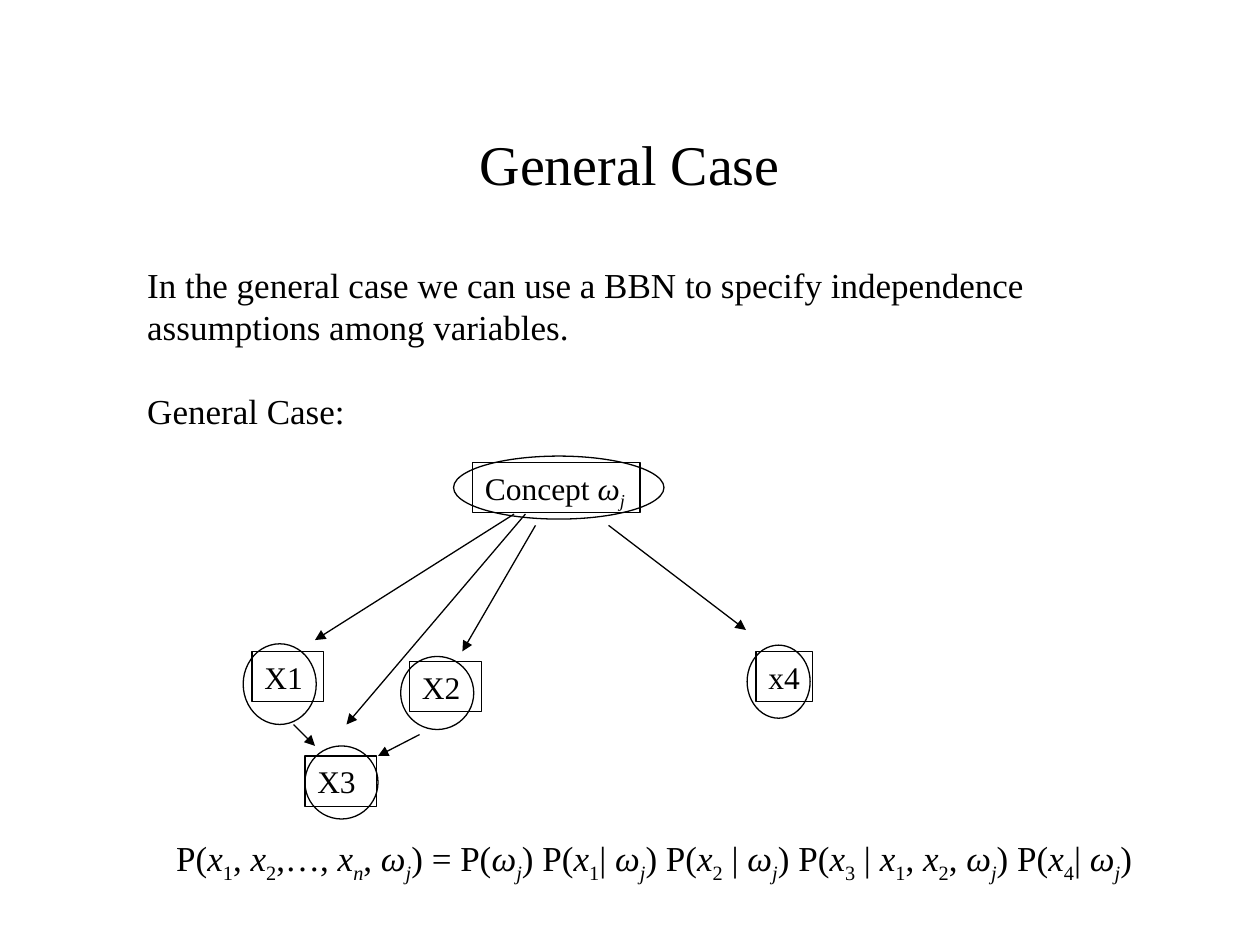
"""Build the General Case slide: a belief network and its joint probability."""
from lxml import etree
from pptx import Presentation
from pptx import util as u
from pptx.dml.color import RGBColor
from pptx.enum import shapes, text
from pptx.oxml.ns import qn

BLACK = RGBColor(0, 0, 0)
FACE = "Times New Roman"
FRAME = {"word_wrap": True, "margin_right": 0}
FORMULA = ("P(*x1, *x2,…, *xn, *ωj) = P(*ωj) P(*x1| *ωj) P(*x2 | *ωj) "
           "P(*x3 | *x1, *x2, *ωj) P(*x4| *ωj)")
NODES = [
    ("X1", (2, 5.17, 0.57, 0.4), (1.93, 5.11, 0.58, 0.64)),
    ("X2", (3.25, 5.25, 0.57, 0.4), (3.18, 5.21, 0.58, 0.58)),
    ("x4", (6, 5.17, 0.45, 0.4), (5.93, 5.12, 0.5, 0.58)),
    ("Concept *ωj", (3.75, 3.67, 1.33, 0.4), (3.6, 3.62, 1.67, 0.5)),
    ("X3", (2.42, 6, 0.57, 0.4), (2.42, 5.92, 0.58, 0.58)),
]
ARROWS = [
    (4.08, 4.08, 2.5, 5.08),
    (4.25, 4.17, 3.67, 5.17),
    (4.83, 4.17, 5.92, 5),
    (2.33, 5.75, 2.5, 5.92),
    (3.33, 5.83, 3, 6),
    (4.17, 4.08, 2.75, 5.75),
]


def inches(box):
    """Turn plain numbers into lengths."""
    return [u.Inches(n) for n in box]


def apply(item, form):
    """Set each attribute of a format on an item."""
    for key, value in form.items():
        setattr(item, key, value)


def add_run(para, words, size, slant=False, sub=False):
    """Add one run, slanted or lowered on request."""
    run = para.add_run()
    run.text = words
    apply(run.font, {"name": FACE, "size": u.Pt(size), "italic": slant})
    run.font.color.rgb = BLACK
    if sub:
        run.font._element.set("baseline", "-25000")


def write(para, words, size):
    """Write text in which a star marks a variable and its one-letter index."""
    head, *terms = words.split("*")
    if head:
        add_run(para, head, size)
    for term in terms:
        add_run(para, term[0], size, slant=True)
        add_run(para, term[1], size, slant=term[1].isalpha(), sub=True)
        if term[2:]:
            add_run(para, term[2:], size)


def add_text(slide, box, lines, size, **form):
    """Add a text box with one paragraph a line and return its paragraphs."""
    frame = slide.shapes.add_textbox(*inches(box)).text_frame
    apply(frame, {**FRAME, **form})
    for i, line in enumerate(lines):
        write(frame.add_paragraph() if i else frame.paragraphs[0], line, size)
    return frame.paragraphs


def add_shape(slide, kind, box):
    """Add an unfilled shape with a thin black outline."""
    shape = slide.shapes.add_shape(kind, *inches(box))
    shape.shadow.inherit = False
    shape.fill.background()
    shape.line.color.rgb = BLACK
    shape.line.width = u.Pt(0.75)
    return shape


def add_node(slide, label, box, ring):
    """Add a labelled box and the ellipse around it."""
    frame = add_shape(slide, shapes.MSO_SHAPE.RECTANGLE, box).text_frame
    apply(frame, {**FRAME, "vertical_anchor": text.MSO_ANCHOR.TOP})
    para = frame.paragraphs[0]
    para.alignment = text.PP_ALIGN.LEFT
    write(para, label, 18)
    add_shape(slide, shapes.MSO_SHAPE.OVAL, ring)


def add_arrow(slide, ends):
    """Add a thin black arrow between two points."""
    arrow = slide.shapes.add_connector(shapes.MSO_CONNECTOR.STRAIGHT, *inches(ends))
    arrow.line.color.rgb = BLACK
    arrow.line.width = u.Pt(0.75)
    etree.SubElement(arrow.line._get_or_add_ln(), qn("a:tailEnd"), type="triangle")
    etree.SubElement(arrow._element.spPr, qn("a:effectLst"))


def main():
    """Build and save the slide."""
    deck = Presentation()
    apply(deck, {"slide_width": u.Inches(10), "slide_height": u.Inches(7.5)})
    slide = deck.slides.add_slide(deck.slide_layouts[6])
    title = add_text(slide, (0.75, 0.67, 8.5, 1.25), ["General Case"], 32,
                     vertical_anchor=text.MSO_ANCHOR.MIDDLE, margin_right=u.Inches(0.1))
    title[0].alignment = text.PP_ALIGN.CENTER
    intro = add_text(slide, (1.07, 2.04, 7.28, 1.45), [
        "In the general case we can use a BBN to specify independence",
        "assumptions among variables.",
        "General Case:",
    ], 20)
    intro[-1].space_before = u.Pt(24)
    for node in NODES:
        add_node(slide, *node)
    for ends in ARROWS:
        add_arrow(slide, ends)
    add_text(slide, (1.3, 6.59, 7.96, 0.43), [FORMULA], 20)
    deck.save("out.pptx")


if __name__ == "__main__":
    main()
